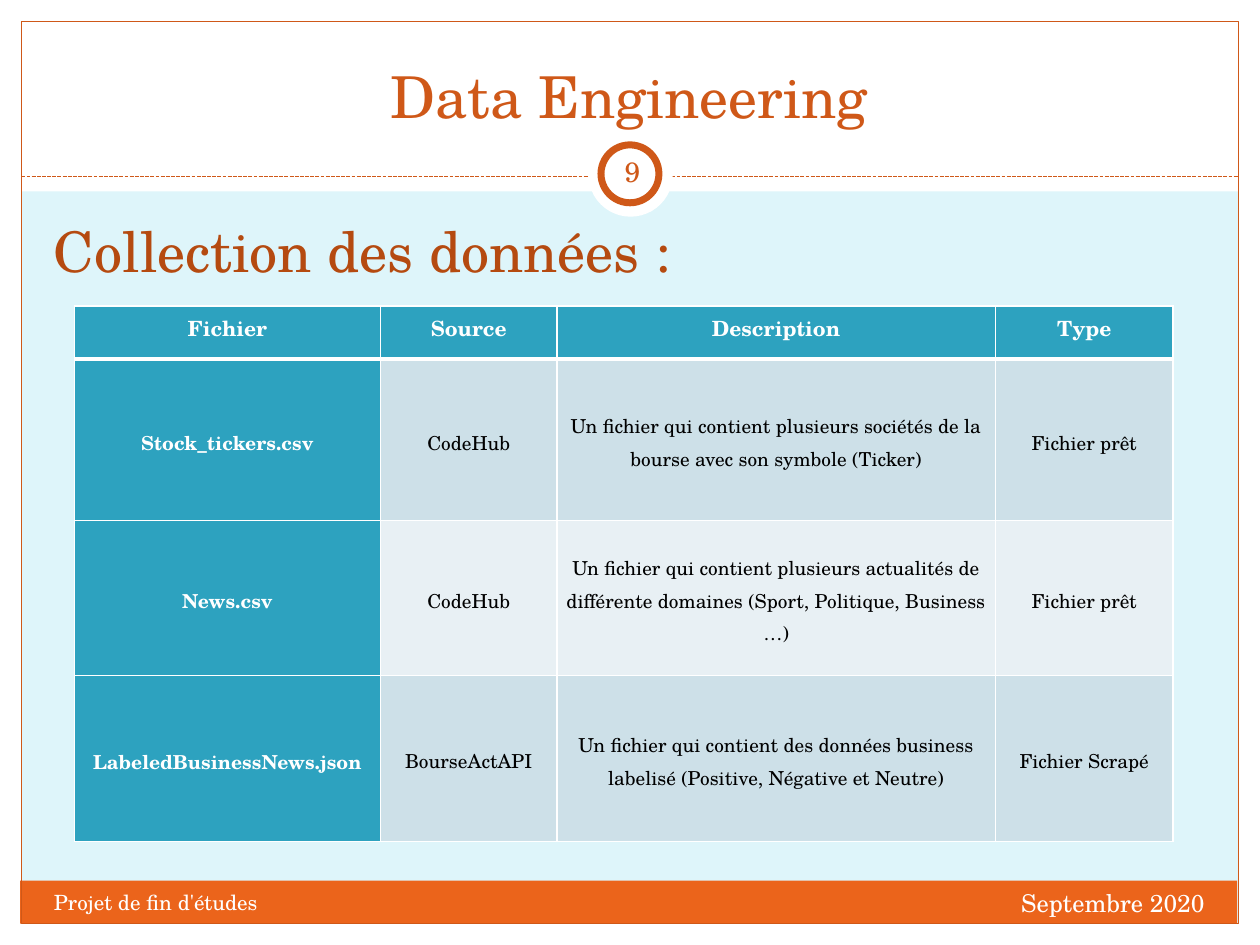
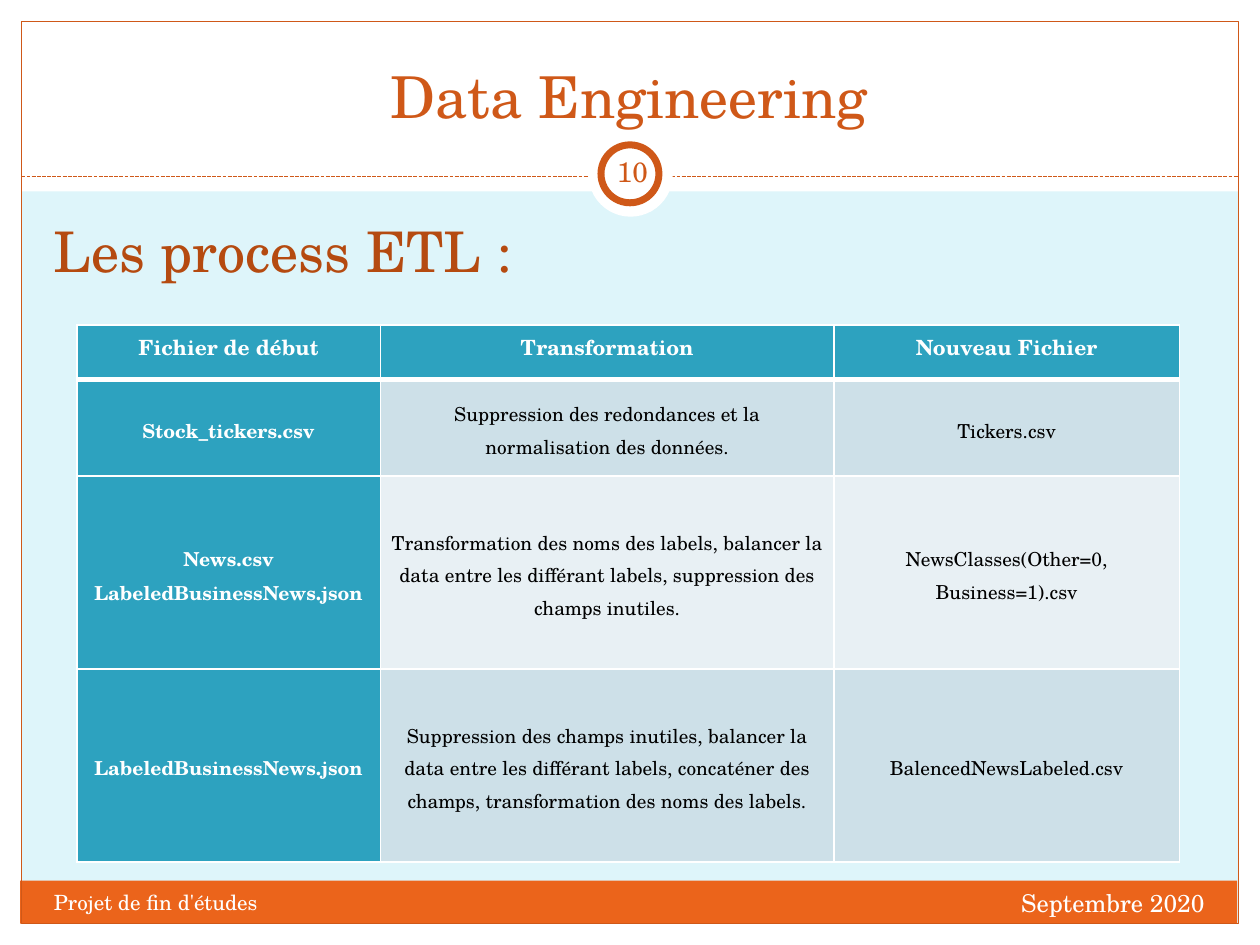
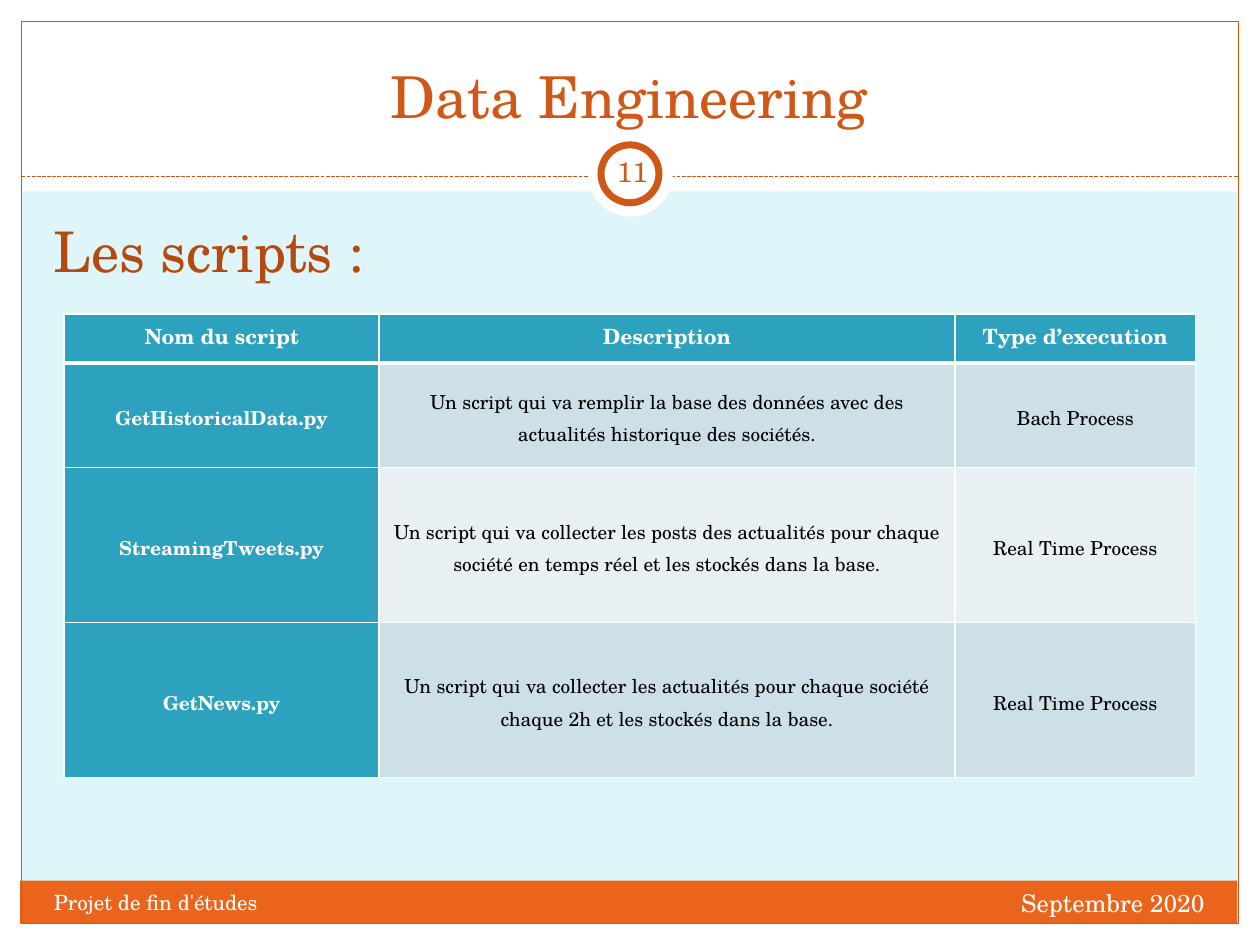
from dataclasses import dataclass

from lxml import etree
from pptx import Presentation
from pptx import util as u
from pptx.dml.color import RGBColor
from pptx.enum import dml, shapes, text
from pptx.oxml import ns


@dataclass(frozen=True)
class Theme:
    font: str = "TeX Gyre Schola"
    background: str = "DEF5FA"
    white: str = "FFFFFF"
    black: str = "000000"
    accent: str = "CF5818"
    heading: str = "B54A10"
    footer: str = "EB641B"
    header_cell: str = "2DA2BF"
    odd_row: str = "CDE0E8"
    even_row: str = "E8F0F4"
    title_size: int = 33
    heading_size: int = 32
    number_size: int = 16
    date_size: int = 14
    label_size: int = 12
    cell_size: int = 11


THEME = Theme()
ALIGN = text.PP_ALIGN
ANCHOR = text.MSO_ANCHOR


def write(frame, content, size, color, bold=False, align=ALIGN.LEFT,
          line_spacing=None, space_after=None):
    """Put one formatted paragraph in a text frame."""
    frame.word_wrap = True
    paragraph = frame.paragraphs[0]
    paragraph.alignment = align
    if line_spacing:
        paragraph.line_spacing = line_spacing
    if space_after:
        paragraph.space_after = u.Pt(space_after)
    run = paragraph.add_run()
    run.text = content
    run.font.name = THEME.font
    run.font.size = u.Pt(size)
    run.font.bold = bold
    run.font.color.rgb = RGBColor.from_string(color)


def add_border(cell, side, width):
    """Add a solid white border; call before the cell gets its fill."""
    line = etree.SubElement(cell._tc.get_or_add_tcPr(), ns.qn(f"a:ln{side}"),
                            w=str(u.Pt(width)))
    solid = etree.SubElement(line, ns.qn("a:solidFill"))
    etree.SubElement(solid, ns.qn("a:srgbClr"), val=THEME.white)


class Deck:
    def __init__(self, theme):
        self.theme = theme
        self.presentation = Presentation()
        self.presentation.slide_width = u.Inches(10)
        self.presentation.slide_height = u.Inches(7.5)
        self.slide = None

    def shape(self, kind, left, top, width, height, fill=None, line=None, weight=0.75):
        shape = self.slide.shapes.add_shape(
            kind, *map(u.Inches, (left, top, width, height)))
        shape.shadow.inherit = False
        if fill:
            shape.fill.solid()
            shape.fill.fore_color.rgb = RGBColor.from_string(fill)
        else:
            shape.fill.background()
        if line:
            shape.line.color.rgb = RGBColor.from_string(line)
            shape.line.width = u.Pt(weight)
        else:
            shape.line.fill.background()

    def divider(self, left, right, y):
        divider = self.slide.shapes.add_connector(
            shapes.MSO_CONNECTOR.STRAIGHT, *map(u.Inches, (left, y, right, y)))
        divider.line.color.rgb = RGBColor.from_string(self.theme.accent)
        divider.line.width = u.Pt(0.75)
        divider.line.dash_style = dml.MSO_LINE.SQUARE_DOT
        etree.SubElement(divider._element.spPr, ns.qn("a:effectLst"))

    def label(self, left, top, width, height, content, size, color,
              anchor=ANCHOR.TOP, inset=None, **style):
        box = self.slide.shapes.add_textbox(
            *map(u.Inches, (left, top, width, height)))
        frame = box.text_frame
        frame.vertical_anchor = anchor
        if inset is not None:
            frame.margin_left = frame.margin_right = u.Inches(inset)
            frame.margin_top = frame.margin_bottom = u.Inches(inset)
        write(frame, content, size, color, **style)

    def table(self, left, top, widths, heights, rows):
        table = self.slide.shapes.add_table(
            len(rows), len(widths),
            *map(u.Inches, (left, top, sum(widths), sum(heights)))).table
        for column, width in zip(table.columns, widths):
            column.width = u.Inches(width)
        for row, height in zip(table.rows, heights):
            row.height = u.Inches(height)
        for r, row in enumerate(rows):
            for c, content in enumerate(row):
                self.cell(table.cell(r, c), r, c, content)

    def cell(self, cell, row, column, content):
        theme = self.theme
        is_header = row == 0
        is_key = is_header or column == 0
        cell.margin_left = cell.margin_right = u.Inches(0.07)
        cell.margin_top, cell.margin_bottom = u.Inches(0.01), 0
        cell.vertical_anchor = ANCHOR.TOP if is_header else ANCHOR.MIDDLE
        # The rule under the header is thicker
        for side, width in (("L", 1), ("R", 1), ("T", 3 if row == 1 else 1),
                            ("B", 3 if is_header else 1)):
            add_border(cell, side, width)
        band = theme.odd_row if row % 2 else theme.even_row
        cell.fill.solid()
        cell.fill.fore_color.rgb = RGBColor.from_string(
            theme.header_cell if is_key else band)
        write(cell.text_frame, content,
              theme.label_size if is_header else theme.cell_size,
              theme.white if is_key else theme.black, bold=is_key,
              align=ALIGN.CENTER, line_spacing=1.15, space_after=10)

    def new_slide(self, number, heading):
        theme = self.theme
        rect, oval = shapes.MSO_SHAPE.RECTANGLE, shapes.MSO_SHAPE.OVAL
        self.slide = self.presentation.slides.add_slide(
            self.presentation.slide_layouts[6])
        background = self.slide.background.fill
        background.solid()
        background.fore_color.rgb = RGBColor.from_string(theme.background)

        # White margins, footer band and frame
        for margin in ((0, 7.33, 10, 0.17), (0, 0, 10, 1.52),
                       (0, 0, 0.17, 7.5), (9.83, 0, 0.17, 7.5)):
            self.shape(rect, *margin, fill=theme.white)
        self.shape(rect, 0.16, 6.99, 9.66, 0.34, fill=theme.footer)
        self.shape(rect, 0.17, 0.17, 9.66, 7.16, line=theme.accent)

        # Divider with the page number ring
        self.divider(0.17, 9.83, 1.4)
        self.shape(oval, 4.67, 1.05, 0.67, 0.67, fill=theme.white)
        self.shape(oval, 4.77, 1.15, 0.46, 0.46, fill=theme.white,
                   line=theme.accent, weight=4)

        # Title, footer texts, page number and heading
        self.label(0.33, 0.25, 9.33, 0.83, "Data Engineering", theme.title_size,
                   theme.accent, anchor=ANCHOR.BOTTOM, align=ALIGN.CENTER)
        self.label(6.33, 7, 3.33, 0.4, "Septembre 2020", theme.date_size,
                   theme.white, align=ALIGN.RIGHT)
        self.label(0.33, 7.01, 3.92, 0.4, "Projet de fin d'études",
                   theme.label_size, theme.white)
        self.label(4.77, 1.12, 0.5, 0.48, str(number), theme.number_size,
                   theme.accent, anchor=ANCHOR.MIDDLE, inset=0.05,
                   align=ALIGN.CENTER)
        self.label(0.33, 1.67, 9.3, 5, heading, theme.heading_size, theme.heading)


def main():
    deck = Deck(THEME)

    # Data collection
    deck.new_slide(9, "Collection des données :")
    deck.table(0.59, 2.43, [2.43, 1.4, 3.48, 1.41], [0.42, 1.28, 1.23, 1.32], [
        ["Fichier", "Source", "Description", "Type"],
        ["Stock_tickers.csv", "CodeHub",
         "Un fichier qui contient plusieurs sociétés de la bourse avec son "
         "symbole (Ticker)", "Fichier prêt"],
        ["News.csv", "CodeHub",
         "Un fichier qui contient plusieurs actualités de différente domaines "
         "(Sport, Politique, Business …)", "Fichier prêt"],
        ["LabeledBusinessNews.json", "BourseActAPI",
         "Un fichier qui contient des données business labelisé (Positive, "
         "Négative et Neutre)", "Fichier Scrapé"],
    ])

    # ETL process
    deck.new_slide(10, "Les process ETL :")
    deck.table(0.61, 2.58, [2.41, 3.6, 2.74], [0.43, 0.77, 1.53, 1.53], [
        ["Fichier de début", "Transformation", "Nouveau Fichier"],
        ["Stock_tickers.csv",
         "Suppression des redondances et la normalisation des données.",
         "Tickers.csv"],
        ["News.csv LabeledBusinessNews.json",
         "Transformation des noms des labels, balancer la data entre les "
         "différant labels, suppression des champs inutiles.",
         "NewsClasses(Other=0, Business=1).csv"],
        ["LabeledBusinessNews.json",
         "Suppression des champs inutiles, balancer la data entre les différant "
         "labels, concaténer des champs, transformation des noms des labels.",
         "BalencedNewsLabeled.csv"],
    ])

    # Scripts
    deck.new_slide(11, "Les scripts :")
    deck.table(0.51, 2.49, [2.5, 4.57, 1.91], [0.39, 0.83, 1.23, 1.23], [
        ["Nom du script", "Description", "Type d’execution"],
        ["GetHistoricalData.py",
         "Un script qui va remplir la base des données avec des actualités "
         "historique des sociétés.", "Bach Process"],
        ["StreamingTweets.py",
         "Un script qui va collecter les posts des actualités pour chaque "
         "société en temps réel et les stockés dans la base.",
         "Real Time Process"],
        ["GetNews.py",
         "Un script qui va collecter les actualités pour chaque société chaque "
         "2h et les stockés dans la base.", "Real Time Process"],
    ])

    deck.presentation.save("out.pptx")


if __name__ == "__main__":
    main()
